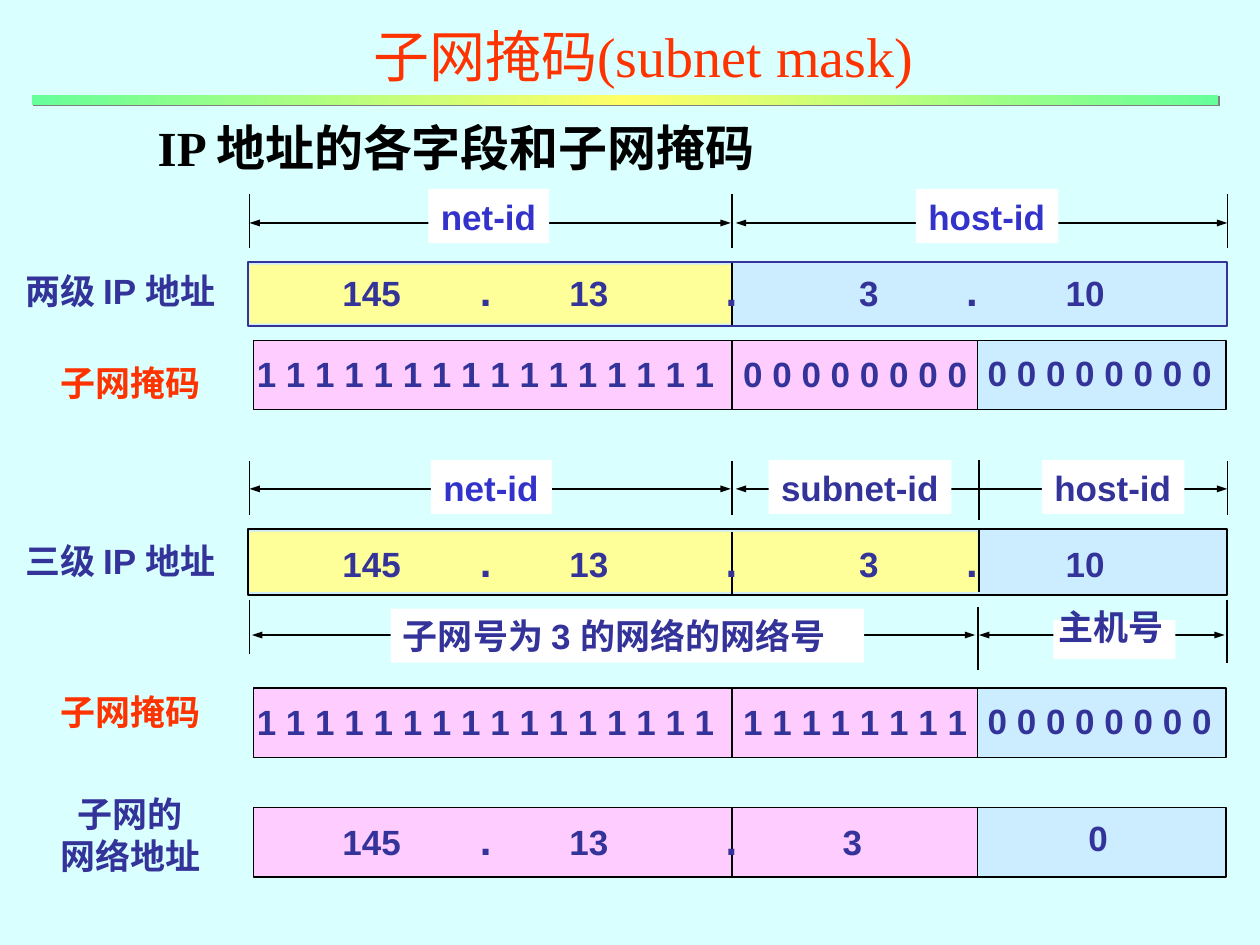
from copy import deepcopy
from dataclasses import dataclass

from lxml.etree import SubElement
from pptx import Presentation
from pptx.dml.color import RGBColor
from pptx.enum.shapes import MSO_CONNECTOR as Connector, MSO_SHAPE as Shape
from pptx.enum.text import MSO_ANCHOR as Anchor, PP_ALIGN as Align
from pptx.oxml.ns import qn
from pptx.util import Inches, Pt

CELL = Inches(0.1)
NET, SUBNET, HOST, END = 19.8, 58.1, 77.6, 97.4
BLACK, WHITE, INK, BLUE, RED = "000000", "FFFFFF", "333399", "3333CC", "FF3300"
YELLOW, SKY, PINK = "FFFF99", "CCECFF", "FFCCFF"
ONES, OCTET_ONES, OCTET_ZEROS = (" ".join(bits) for bits in ("1" * 16, "1" * 8, "0" * 8))
NETWORK_TABS = (10.9, 18, 30.4)


@dataclass(frozen=True)
class Bar:
    column: float
    row: float
    columns: float
    rows: float
    fill: str
    line: str | None = None
    weight: float = 0.75


@dataclass(frozen=True)
class Rule:
    column: float
    row: float
    end_column: float
    end_row: float
    weight: float = 1
    arrows: bool = False


@dataclass(frozen=True)
class Label:
    column: float
    row: float
    columns: float
    rows: float
    text: str
    color: str = INK
    fill: str | None = None
    tabs: tuple[float, ...] = ()
    size: float = 20
    font: str = "Arial"
    bold: bool = True
    align: Align = Align.LEFT
    anchor: Anchor = Anchor.TOP
    wrap: bool = False


def cells(*counts: float) -> list[int]:
    return [round(count * CELL) for count in counts]


def rgb(color: str) -> RGBColor:
    return RGBColor.from_string(color)


def draw_bar(page, bar: Bar):
    box = page.shapes.add_shape(
        Shape.RECTANGLE, *cells(bar.column, bar.row, bar.columns, bar.rows))
    box.shadow.inherit = False
    box.fill.solid()
    box.fill.fore_color.rgb = rgb(bar.fill)
    if bar.line:
        box.line.color.rgb = rgb(bar.line)
        box.line.width = Pt(bar.weight)
    else:
        box.line.fill.background()
    return box


def draw_rule(page, rule: Rule) -> None:
    line = page.shapes.add_connector(
        Connector.STRAIGHT, *cells(rule.column, rule.row, rule.end_column, rule.end_row))
    line.line.color.rgb = rgb(BLACK)
    line.line.width = Pt(rule.weight)
    properties = line._element.spPr
    if rule.arrows:
        for end in ("a:headEnd", "a:tailEnd"):
            SubElement(properties.find(qn("a:ln")), qn(end), type="triangle", w="sm", len="med")
    SubElement(properties, qn("a:effectLst"))


def draw_label(page, label: Label) -> None:
    box = page.shapes.add_textbox(
        *cells(label.column, label.row, label.columns, label.rows))
    if label.fill:
        box.fill.solid()
        box.fill.fore_color.rgb = rgb(label.fill)
    frame = box.text_frame
    frame.word_wrap = label.wrap or bool(label.tabs)
    frame.vertical_anchor = label.anchor
    for index, text in enumerate(label.text.split("\n")):
        para = frame.add_paragraph() if index else frame.paragraphs[0]
        para.alignment = label.align
        if label.tabs:
            stops = SubElement(para._p.get_or_add_pPr(), qn("a:tabLst"))
            for position in cells(*label.tabs):
                SubElement(stops, qn("a:tab"), pos=str(position), algn="l")
        for index, piece in enumerate(text.split("\t")):
            span = para.add_run()
            span.text = "\t" + piece if index else piece
            size = 24 if piece == "." else label.size
            style = {"name": label.font, "size": Pt(size), "bold": label.bold}
            for name, value in style.items():
                setattr(span.font, name, value)
            span.font.color.rgb = rgb(label.color)


def draw_divider(page) -> None:
    band = draw_bar(page, Bar(2.5, 7.5, 94.2, 0.8, YELLOW))
    band.fill.gradient()
    band.fill.gradient_angle = 0
    stops = band._element.spPr.find(qn("a:gradFill")).find(qn("a:gsLst"))
    stops.append(deepcopy(stops[-1]))
    colors = ("66FF99", "FFFF66", "66FF99")
    for index, (stop, color) in enumerate(zip(band.fill.gradient_stops, colors)):
        stop.position = index / 2
        stop.color.rgb = rgb(color)
    effects = band._element.spPr.find(qn("a:effectLst"))
    shadow = SubElement(effects, qn("a:outerShdw"), dist=str(Pt(1.4)), dir="2700000", algn="ctr")
    SubElement(shadow, qn("a:srgbClr"), val="808080")


def address_row(row: float, rows: float, line: str, network_end: float) -> list[Bar]:
    return [Bar(19.7, row, 77.7, rows, SKY, line, 1),
            Bar(NET, row + 0.2, network_end - NET, rows - 0.4, YELLOW)]


def mask_row(row: float) -> list[Bar]:
    return [Bar(HOST, row, 19.7, 5.5, SKY, BLACK),
            Bar(20.1, row, HOST - 20.1, 5.5, PINK, BLACK)]


def address_text(row: float) -> list[Label]:
    return [Label(26.2, row, 34, 5, "145\t.\t13\t.", tabs=NETWORK_TABS),
            Label(67.2, row, 25, 5, "3\t.\t10", tabs=(8.5, 16.4))]


def mask_text(row: float, octet: str) -> list[Label]:
    return [Label(19.4, row + 0.5, 60, 5, f"{ONES}\t{octet}", tabs=(38.6,)),
            Label(77.4, row + 0.4, 19.8, 4.3, OCTET_ZEROS)]


def tick(column: float, row: float, rows: float = 4.3, weight: float = 0.75) -> Rule:
    return Rule(column, row, column, row + rows, weight)


def arrow(column: float, end_column: float, row: float) -> Rule:
    return Rule(column, row, end_column, row, arrows=True)


BARS = [
    *address_row(20.8, 5.1, INK, SUBNET), *mask_row(27),
    *address_row(42, 5.2, BLACK, HOST), *mask_row(54.6), *mask_row(64.1),
]
RULES = [
    *(tick(column, row) for row in (15.4, 36.6) for column in (NET, SUBNET, END)),
    *(tick(SUBNET, row, rows, 1) for row, rows in
      ((20.9, 4.9), (27, 5.5), (42.2, 5), (54.6, 5.5), (64.1, 5.5))),
    tick(HOST + 0.1, 36.5, 4.8), tick(HOST + 0.1, 42.1, 4.9, 1), tick(HOST, 48.2, 5, 1),
    tick(NET, 47.6), tick(END, 47.6, 5, 1),
    *(arrow(*ends, row) for row in (17.7, 38.8) for ends in ((NET, 58), (58.4, END))),
    arrow(20, 77.4, 50.4), arrow(77.7, 97.2, 50.4),
]
BACKINGS = [Bar(83.6, 49.2, 9.7, 3.1, WHITE)]
LABELS = [
    Label(9.8, 0, 82.5, 8.7, "子网掩码(subnet mask)", RED, size=32, font="Times New Roman",
          bold=False, align=Align.CENTER, anchor=Anchor.MIDDLE, wrap=True),
    Label(5.4, 9.2, 61.6, 5, "IP 地址的各字段和子网掩码", BLACK, size=28, font="Times New Roman",
          align=Align.CENTER, anchor=Anchor.MIDDLE, wrap=True),
    Label(34, 15, 9.6, 4.3, "net-id", BLUE, WHITE),
    Label(72.7, 15, 11.3, 4.3, "host-id", BLUE, WHITE),
    Label(34.2, 36.5, 9.6, 4.3, "net-id", BLUE, WHITE),
    Label(61, 36.5, 14.5, 4.3, "subnet-id", INK, WHITE),
    Label(82.7, 36.5, 11.3, 4.3, "host-id", INK, WHITE),
    Label(31, 48.3, 37.6, 4.3, "子网号为 3 的网络的网络号", INK, WHITE),
    Label(83, 47.6, 12, 4.3, "主机号", wrap=True),
    Label(1, 20.9, 19.2, 4.3, "两级 IP 地址"),
    Label(1, 42.3, 19.2, 4.3, "三级 IP 地址"),
    Label(3.8, 28.2, 13.1, 4.3, "子网掩码", RED),
    Label(3.8, 54.3, 13.1, 4.3, "子网掩码", RED),
    Label(3.8, 62.4, 13.1, 7.6, "子网的\n网络地址", align=Align.CENTER),
    *address_text(20.5), *address_text(42),
    *mask_text(27, OCTET_ZEROS), *mask_text(54.6, OCTET_ONES),
    Label(26.2, 64.1, 44, 5, "145\t.\t13\t.\t3", tabs=(*NETWORK_TABS, 39.7)),
    Label(85.4, 64.3, 3.5, 4.3, "0"),
]
LAYERS = ((draw_bar, BARS), (draw_rule, RULES), (draw_bar, BACKINGS), (draw_label, LABELS))


def main() -> None:
    deck = Presentation()
    deck.slide_width, deck.slide_height = cells(100, 75)
    page = deck.slides.add_slide(deck.slide_layouts[6])
    page.background.fill.solid()
    page.background.fill.fore_color.rgb = rgb("D9FFFF")
    draw_divider(page)
    for draw, items in LAYERS:
        for item in items:
            draw(page, item)
    deck.save("out.pptx")


if __name__ == "__main__":
    main()
